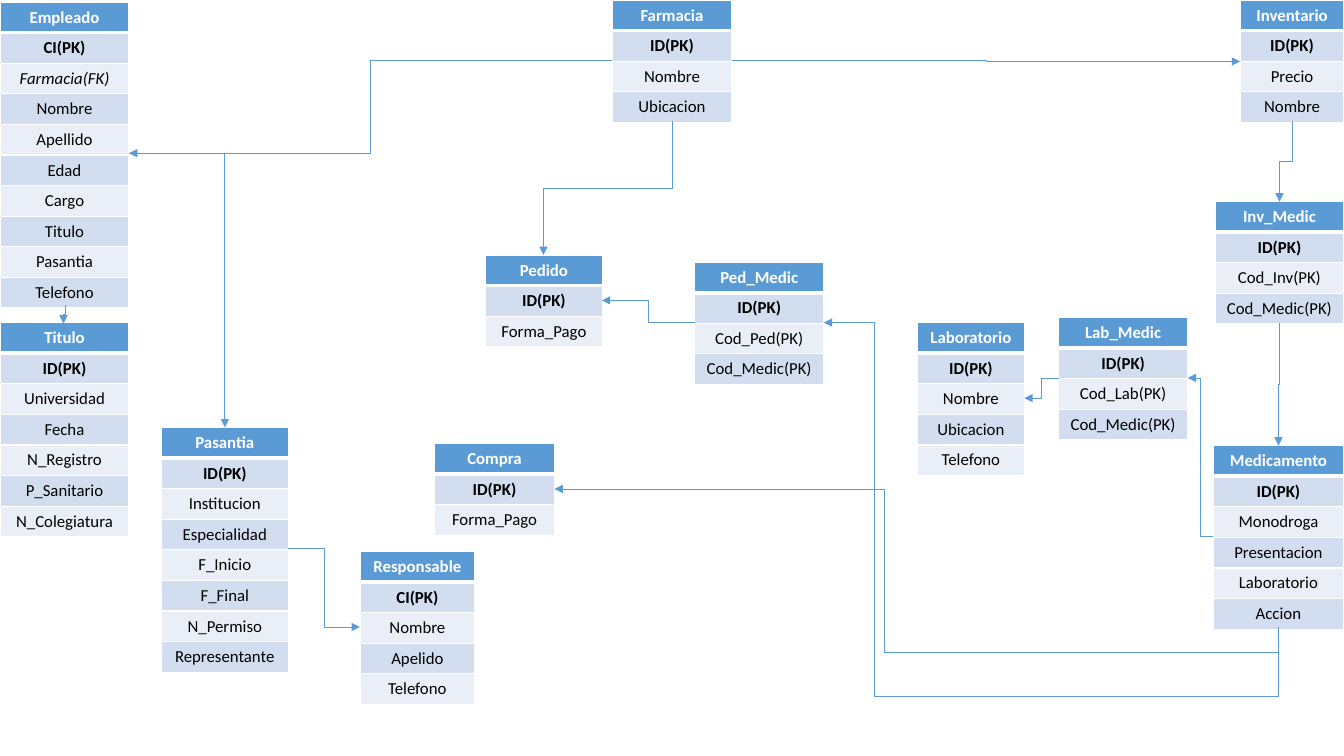
from dataclasses import dataclass
from lxml.etree import SubElement
from pptx import Presentation
from pptx.dml.color import RGBColor as RGB
from pptx.enum.shapes import MSO_CONNECTOR as CONNECTOR
from pptx.enum.text import MSO_ANCHOR as ANCHOR, PP_ALIGN as ALIGN
from pptx.oxml.ns import qn
from pptx.util import Emu, Pt

PX = 9144  # 100 px to the inch
ROW_H = 30


@dataclass(frozen=True)
class Theme:
    font: str = "Calibri"
    size: int = 12
    header: str = "5B9BD5"
    bands: tuple = ("EAEFF7", "D2DEEF")
    white: str = "FFFFFF"
    text: str = "000000"
    grid: float = 1
    header_rule: float = 3
    arrow: float = 0.5


THEME = Theme()

# left, top, width, entity name, attributes
ENTITIES = [
    (607, 0, 119, "Farmacia", "ID(PK) Nombre Ubicacion"),
    (0, 2, 128, "Empleado", "CI(PK) Farmacia(FK) Nombre Apellido Edad Cargo "
                            "Titulo Pasantia Telefono"),
    (0, 320, 128, "Titulo", "ID(PK) Universidad Fecha N_Registro P_Sanitario "
                            "N_Colegiatura"),
    (160, 424, 126, "Pasantia", "ID(PK) Institucion Especialidad F_Inicio "
                                "F_Final N_Permiso Representante"),
    (1230, 0, 103, "Inventario", "ID(PK) Precio Nombre"),
    (1203, 442, 130, "Medicamento", "ID(PK) Monodroga Presentacion "
                                    "Laboratorio Accion"),
    (910, 320, 106, "Laboratorio", "ID(PK) Nombre Ubicacion Telefono"),
    (481, 253, 117, "Pedido", "ID(PK) Forma_Pago"),
    (431, 440, 119, "Compra", "ID(PK) Forma_Pago"),
    (357, 547, 114, "Responsable", "CI(PK) Nombre Apelido Telefono"),
    (1205, 200, 128, "Inv_Medic", "ID(PK) Cod_Inv(PK) Cod_Medic(PK)"),
    (1050, 315, 128, "Lab_Medic", "ID(PK) Cod_Lab(PK) Cod_Medic(PK)"),
    (689, 260, 128, "Ped_Medic", "ID(PK) Cod_Ped(PK) Cod_Medic(PK)"),
]

SIDEWAYS = [  # leave and arrive horizontally
    ((607, 60), (128, 152)),    # Farmacia to Empleado
    ((726, 60), (1230, 61)),    # Farmacia to Inventario
    ((286, 544), (357, 622)),   # Pasantia to Responsable
    ((1203, 532), (1178, 375)), # Medicamento to Lab_Medic
    ((1050, 375), (1016, 395)), # Lab_Medic to Laboratorio
    ((689, 320), (597, 298)),   # Ped_Medic to Pedido
]
DOWNWARD = [  # leave and arrive vertically
    ((667, 120), (539, 253)),   # Farmacia to Pedido
    ((65, 303), (63, 321)),     # Empleado to Titulo
    ((1282, 120), (1269, 200)), # Inventario to Inv_Medic
    ((1269, 320), (1268, 442)), # Inv_Medic to Medicamento
]
AROUND = [  # leave downwards, turn at (x, y), arrive from the right
    ((1268, 622), (817, 320), (867, 691)),  # Medicamento to Ped_Medic
    ((1268, 622), (550, 485), (877, 647)),  # Medicamento to Compra
]


def px(n):
    return Emu(round(n * PX))


def write(tf, text, *, color=THEME.text, bold=False, italic=False):
    p = tf.paragraphs[0]
    p.alignment = ALIGN.CENTER
    r = p.add_run()
    r.text = text
    f = r.font
    f.name, f.size = THEME.font, Pt(THEME.size)
    f.bold, f.italic = bold, italic
    f.color.rgb = RGB.from_string(color)


def add_borders(cell, **widths):
    """Draw white borders; the keywords L, R, T and B give widths in points."""
    tcPr = cell._tc.get_or_add_tcPr()
    for side in "LRTB":
        width = Pt(widths.get(side, THEME.grid))
        ln = SubElement(tcPr, qn(f"a:ln{side}"), w=str(width))
        fill = SubElement(ln, qn("a:solidFill"))
        SubElement(fill, qn("a:srgbClr"), val=THEME.white)


def add_entity(s, left, top, width, name, attributes):
    rows = [name, *attributes.split()]
    table = s.shapes.add_table(len(rows), 1, px(left), px(top), px(width),
                               px(ROW_H * len(rows))).table
    table.first_row = table.horz_banding = False
    for i, text in enumerate(rows):
        cell = table.cell(i, 0)
        cell.vertical_anchor = ANCHOR.MIDDLE
        rule = {0: {"B": THEME.header_rule}, 1: {"T": THEME.header_rule}}
        add_borders(cell, **rule.get(i, {}))
        cell.fill.solid()
        fill = THEME.bands[i % 2] if i else THEME.header
        cell.fill.fore_color.rgb = RGB.from_string(fill)
        write(cell.text_frame, text, color=THEME.text if i else THEME.white,
              bold=i < 2, italic=text.endswith("(FK)"))


def add_arrow(s, start, end, *, vertical=False, preset="bentConnector3",
              bends=()):
    """Add an elbow arrow; a vertical one is a sideways one turned by 90°."""
    (x1, y1), (x2, y2) = start, end
    if vertical:
        cx, cy = (x1 + x2) / 2, (y1 + y2) / 2
        dx, dy = (x2 - x1) / 2, (y2 - y1) / 2
        x1, y1, x2, y2 = cx - dy, cy + dx, cx + dy, cy - dx
    c = s.shapes.add_connector(CONNECTOR.ELBOW, px(x1), px(y1), px(x2), px(y2))
    spPr = c._element.spPr
    if vertical:
        spPr.find(qn("a:xfrm")).set("rot", "5400000")
    geom = spPr.find(qn("a:prstGeom"))
    geom.set("prst", preset)
    for i, bend in enumerate(bends, 1):
        SubElement(geom.find(qn("a:avLst")), qn("a:gd"), name=f"adj{i}",
                   fmla=f"val {round(bend * 100000)}")
    c.line.color.rgb = RGB.from_string(THEME.header)
    c.line.width = Pt(THEME.arrow)
    SubElement(spPr.find(qn("a:ln")), qn("a:tailEnd"), type="triangle")
    SubElement(spPr, qn("a:effectLst"))


def add_around_arrow(s, start, end, turn):
    (x1, y1), (x2, y2), (x, y) = start, end, turn
    add_arrow(s, start, end, vertical=True, preset="bentConnector4",
              bends=((y - y1) / (y2 - y1), (x - x1) / (x2 - x1)))


def main():
    prs = Presentation()
    prs.slide_width, prs.slide_height = px(1333), px(750)
    s = prs.slides.add_slide(prs.slide_layouts[6])
    for entity in ENTITIES:
        add_entity(s, *entity)
    for start, end in SIDEWAYS:
        add_arrow(s, start, end)
    for start, end in DOWNWARD:
        add_arrow(s, start, end, vertical=True)
    for route in AROUND:
        add_around_arrow(s, *route)
    # Empleado to Pasantia
    add_arrow(s, (128, 152), (223, 424), preset="bentConnector2")
    prs.save("out.pptx")


if __name__ == "__main__":
    main()
